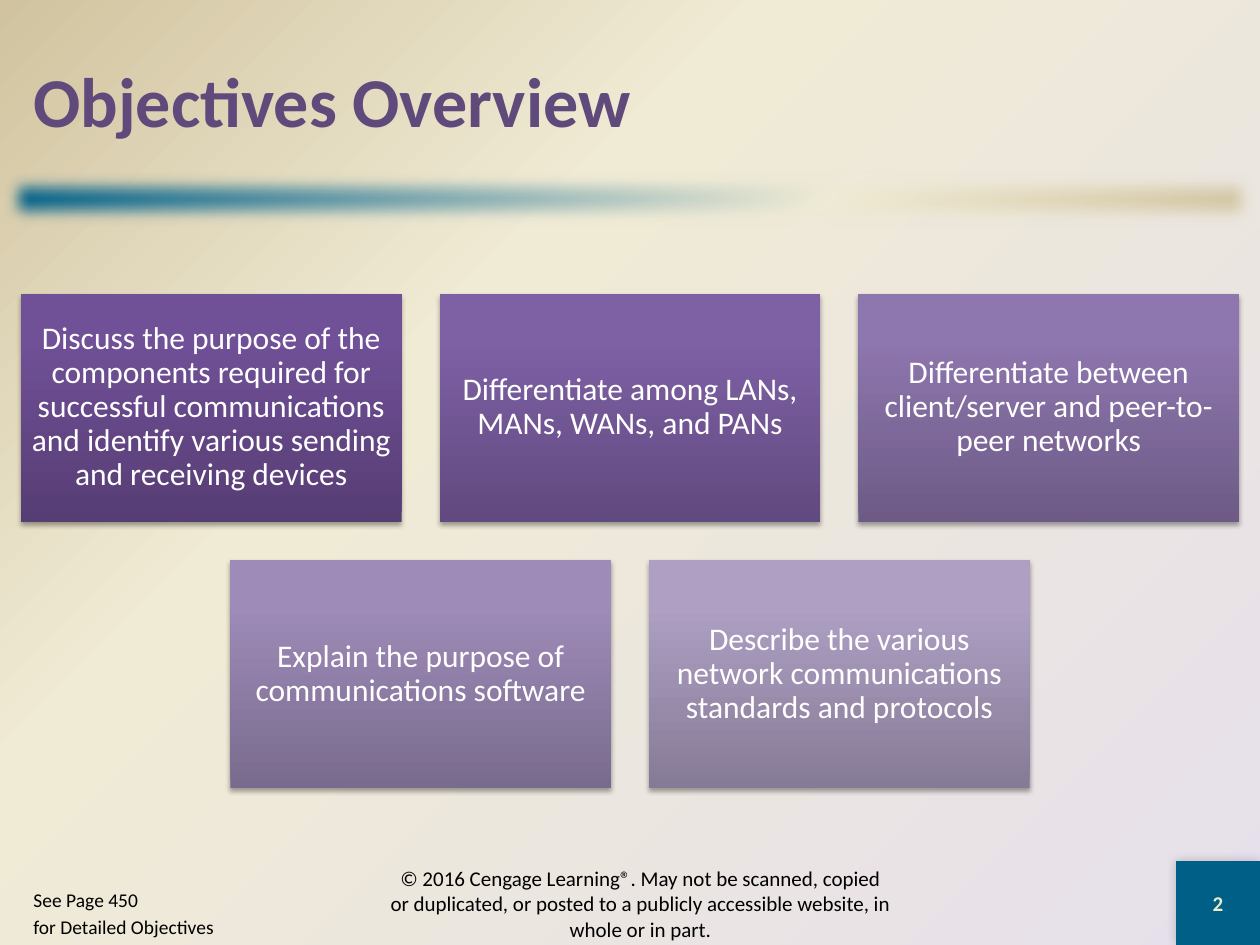
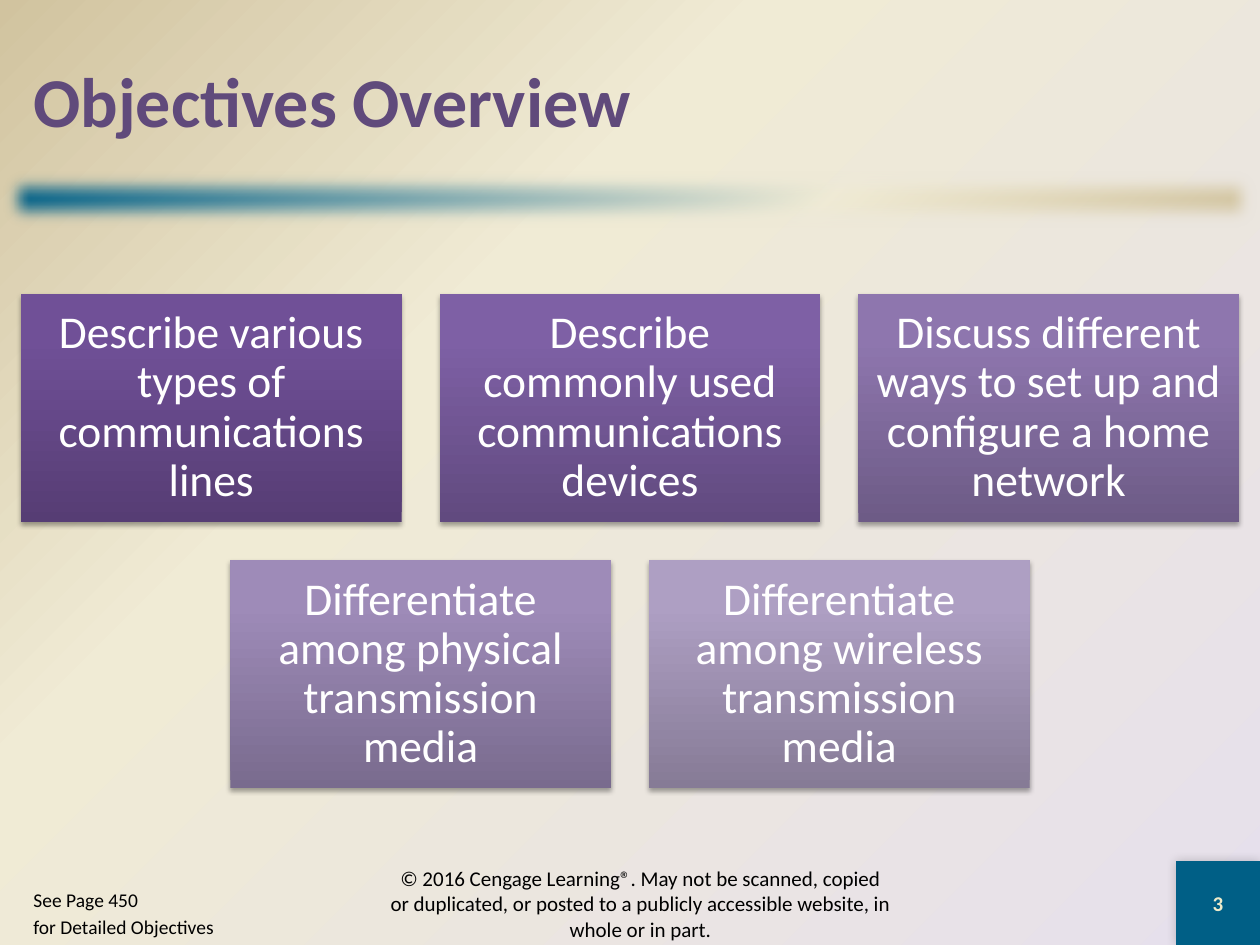
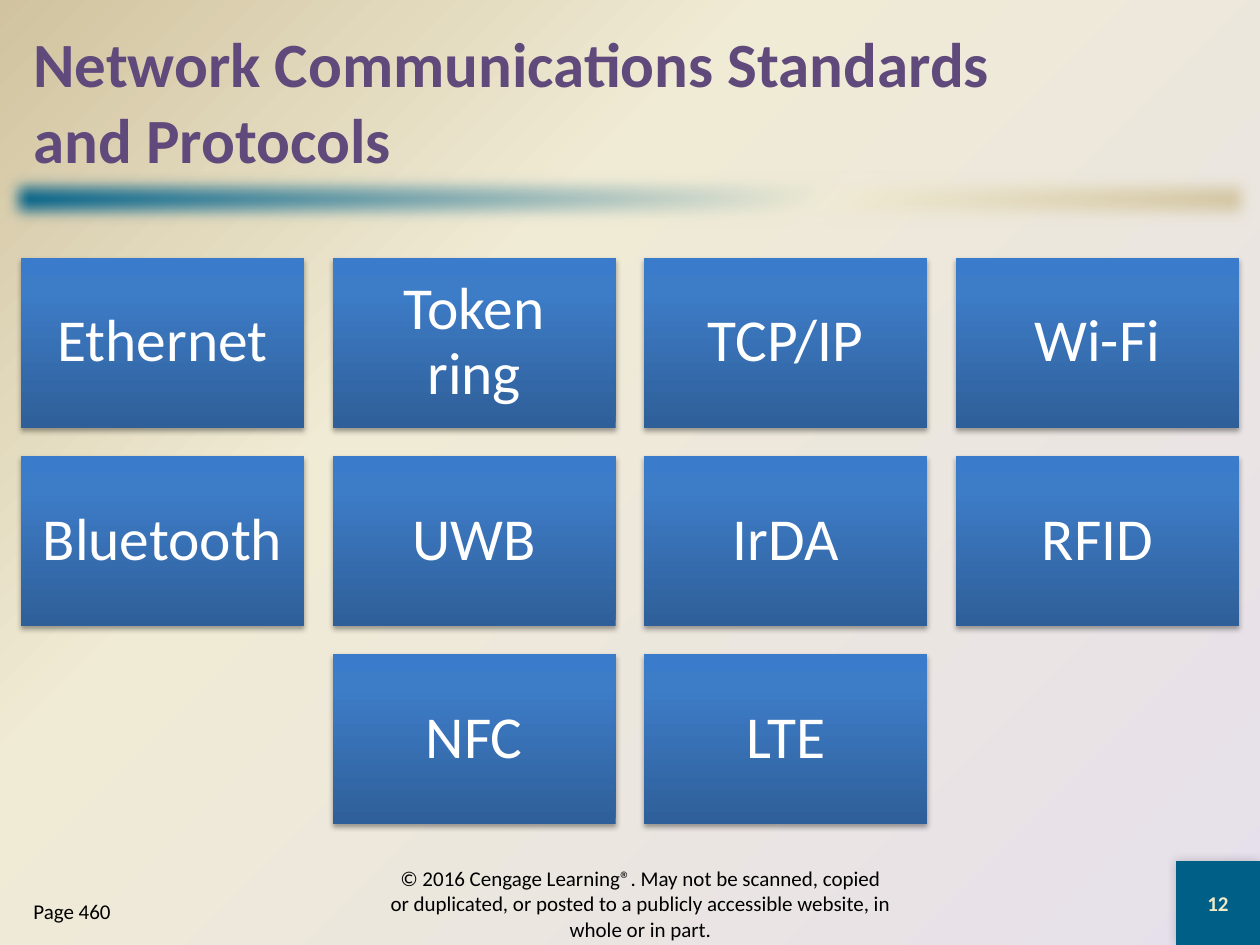
from lxml.etree import SubElement
from pptx import Presentation
from pptx.dml.color import RGBColor
from pptx.enum.shapes import MSO_SHAPE
from pptx.enum.text import MSO_ANCHOR, PP_ALIGN
from pptx.oxml.ns import qn
from pptx.util import Emu, Pt

# Scale and page
EMU_PER_PX = 914400 / 126
PAGE_WIDTH, PAGE_HEIGHT = 1260, 945
MARGIN = 21
GRID_MIDDLE = 541

# Shared style
FONT = "Calibri"
BLACK = RGBColor(0x00, 0x00, 0x00)
WHITE = RGBColor(0xFF, 0xFF, 0xFF)
TEAL = RGBColor(0x00, 0x5F, 0x86)
CREAM = RGBColor(0xF0, 0xEB, 0xD5)
TAN = RGBColor(0xD1, 0xC3, 0x9F)
LAVENDER = RGBColor(0xE6, 0xE0, 0xEC)
TITLE_PURPLE = RGBColor(0x60, 0x4A, 0x7B)
NUMBER_CREAM = RGBColor(0xEE, 0xEB, 0xCA)

PAGE_STOPS = ((0, LAVENDER), (65, CREAM), (100, TAN))
BAND_STOPS = ((0, TEAL), (65, CREAM), (100, TAN))

# Card gradients: bottom, upper and top colour
PURPLES = (
    (RGBColor(0x56, 0x3D, 0x74), RGBColor(0x70, 0x50, 0x97), RGBColor(0x70, 0x4F, 0x99)),
    (RGBColor(0x61, 0x4A, 0x7F), RGBColor(0x7E, 0x60, 0xA5), RGBColor(0x7F, 0x60, 0xA7)),
    (RGBColor(0x6D, 0x5B, 0x86), RGBColor(0x8E, 0x76, 0xAE), RGBColor(0x8E, 0x75, 0xB0)),
    (RGBColor(0x79, 0x6B, 0x8E), RGBColor(0x9E, 0x8B, 0xB8), RGBColor(0x9E, 0x8B, 0xBA)),
    (RGBColor(0x86, 0x7B, 0x96), RGBColor(0xAE, 0x9F, 0xC3), RGBColor(0xAE, 0x9F, 0xC4)),
)
BLUES = (
    (RGBColor(0x2F, 0x5F, 0x99), RGBColor(0x3D, 0x7C, 0xC7), RGBColor(0x3A, 0x7C, 0xCB)),
)

# Wording
COPYRIGHT = (
    "© 2016 Cengage Learning®. May not be scanned, copied or duplicated, "
    "or posted to a publicly accessible website, in whole or in part."
)
OBJECTIVES_NOTE = "See Page 450\nfor Detailed Objectives"
FIRST_OBJECTIVES = (
    "Discuss the purpose of the components required for successful "
    "communications and identify various sending and receiving devices",
    "Differentiate among LANs, MANs, WANs, and PANs",
    "Differentiate between client/server and peer-to-peer networks",
    "Explain the purpose of communications software",
    "Describe the various network communications standards and protocols",
)
SECOND_OBJECTIVES = (
    "Describe various types of communications lines",
    "Describe commonly used communications devices",
    "Discuss different ways to set up and configure a home network",
    "Differentiate among physical transmission media",
    "Differentiate among wireless transmission media",
)
STANDARDS = (
    "Ethernet", "Token ring", "TCP/IP", "Wi-Fi", "Bluetooth",
    "UWB", "IrDA", "RFID", "NFC", "LTE",
)


def px(*lengths):
    return [Emu(round(length * EMU_PER_PX)) for length in lengths]


def add_color(parent, color):
    return SubElement(parent, qn("a:srgbClr"), val=str(color))


def set_gradient(fill, element, stops, angle=None):
    """Fill with linear stops, or from the bottom right corner without an angle."""
    fill.gradient()
    gradient = element.find(".//" + qn("a:gradFill"))
    gradient.clear()
    gradient.set("rotWithShape", "1")
    stop_list = SubElement(gradient, qn("a:gsLst"))
    for position, color in stops:
        add_color(SubElement(stop_list, qn("a:gs"), pos=str(position * 1000)), color)
    if angle is None:
        circle = SubElement(gradient, qn("a:path"), path="circle")
        SubElement(circle, qn("a:fillToRect"), l="100000", t="100000")
    else:
        SubElement(gradient, qn("a:lin"), ang=str(angle * 60000), scaled="0")


def add_effect(shape, name, **settings):
    effects = shape.element.find(".//" + qn("a:effectLst"))
    values = {key: str(value) for key, value in settings.items()}
    return SubElement(effects, qn(name), **values)


def add_shadow(shape, opacity, blur, distance, angle):
    shadow = add_effect(
        shape, "a:outerShdw", blurRad=Pt(blur), dist=Pt(distance),
        dir=angle * 60000, algn="ctr", rotWithShape=0,
    )
    SubElement(add_color(shadow, BLACK), qn("a:alpha"), val=str(opacity * 1000))


def add_rectangle(page, *place):
    shape = page.shapes.add_shape(MSO_SHAPE.RECTANGLE, *px(*place))
    shape.shadow.inherit = False
    shape.line.fill.background()
    return shape


def write(shape, text, size, color, bold=False, align=PP_ALIGN.LEFT, anchor=MSO_ANCHOR.MIDDLE):
    frame = shape.text_frame
    frame.word_wrap = True
    frame.vertical_anchor = anchor
    frame.text = text
    for para in frame.paragraphs:
        para.alignment = align
        for span in para.runs:
            span.font.name = FONT
            span.font.size = Pt(size)
            span.font.bold = bold
            span.font.color.rgb = color
    return frame


def add_text(page, place, text, size, color, **style):
    box = page.shapes.add_textbox(*px(*place))
    return write(box, text, size, color, **style)


def add_band(page):
    band = add_rectangle(page, 0, 168, PAGE_WIDTH, 63)
    set_gradient(band.fill, band.element, BAND_STOPS, 45)
    add_effect(band, "a:softEdge", rad=Pt(10))


def add_number(page, number):
    side = 84
    badge = add_rectangle(page, PAGE_WIDTH - side, PAGE_HEIGHT - side, side, side)
    badge.fill.solid()
    badge.fill.fore_color.rgb = TEAL
    add_shadow(badge, 20, 6, 0, 225)
    write(badge, str(number), 12, NUMBER_CREAM, bold=True, align=PP_ALIGN.CENTER)


def add_note(page, text, size, top):
    frame = add_text(page, (MARGIN, top, 231, 63), text, size, BLACK, anchor=MSO_ANCHOR.TOP)
    for para in frame.paragraphs[1:]:
        para.space_before = Pt(size * 0.2)


def add_card(page, place, text, size, colors):
    card = add_rectangle(page, *place)
    set_gradient(card.fill, card.element, zip((0, 80, 100), colors), 270)
    add_shadow(card, 35, 3.1, 1.8, 90)
    frame = write(card, text, size, WHITE, align=PP_ALIGN.CENTER)
    frame.paragraphs[0].line_spacing = 0.9
    inset = Pt(size * 0.3)
    frame.margin_left = frame.margin_right = inset
    frame.margin_top = frame.margin_bottom = inset


def add_card_grid(page, labels, columns, size, palette):
    """Rows of cards, each row centred; gaps are a tenth of a card's width."""
    width = (PAGE_WIDTH - 2 * MARGIN) / (columns + (columns - 1) / 10)
    gap, height = width / 10, width * 0.6
    rows = [labels[i:i + columns] for i in range(0, len(labels), columns)]
    top = GRID_MIDDLE - (len(rows) * (height + gap) - gap) / 2
    for row_index, row in enumerate(rows):
        left = (PAGE_WIDTH - len(row) * (width + gap) + gap) / 2
        for column, label in enumerate(row):
            place = (left + column * (width + gap), top + row_index * (height + gap), width, height)
            colors = palette[(row_index * columns + column) % len(palette)]
            add_card(page, place, label, size, colors)


def add_page(deck, title, title_size, number):
    page = deck.slides.add_slide(deck.slide_layouts[6])
    add_band(page)
    add_number(page, number)
    add_text(page, (MARGIN, 21, 1218, 158), title, title_size, TITLE_PURPLE, bold=True)
    add_text(page, (378, 872, 525, 63), COPYRIGHT, 12, BLACK, align=PP_ALIGN.CENTER)
    return page


def main():
    deck = Presentation()
    deck.slide_width, deck.slide_height = px(PAGE_WIDTH, PAGE_HEIGHT)
    master = deck.slide_master
    set_gradient(master.background.fill, master.element, PAGE_STOPS)

    # Objectives
    for number, objectives, size in ((2, FIRST_OBJECTIVES, 18), (3, SECOND_OBJECTIVES, 26)):
        page = add_page(deck, "Objectives Overview", 40, number)
        add_card_grid(page, objectives, 3, size, PURPLES)
        add_note(page, OBJECTIVES_NOTE, 11.1, 882)

    # Standards and protocols
    page = add_page(deck, "Network Communications Standards\vand Protocols", 36, 12)
    add_card_grid(page, STANDARDS, 4, 34, BLUES)
    add_note(page, "Page 460", 12, 892)

    deck.save("out.pptx")


if __name__ == "__main__":
    main()
